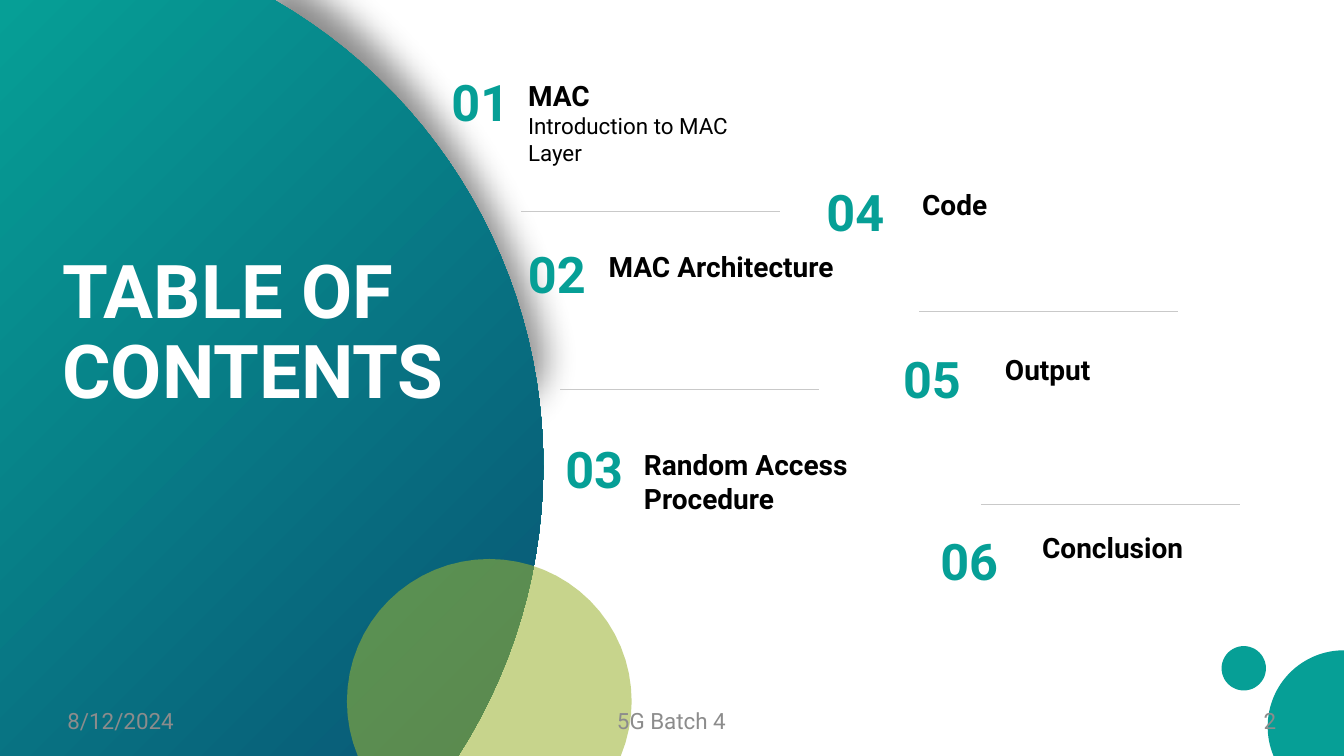
from math import cos, radians, sin

from lxml import etree
from pptx import Presentation
from pptx.dml.color import RGBColor
from pptx.enum.shapes import MSO_CONNECTOR, MSO_SHAPE
from pptx.enum.text import MSO_ANCHOR, MSO_AUTO_SIZE, PP_ALIGN
from pptx.oxml.ns import qn
from pptx.util import Pt

STRAIGHT = MSO_CONNECTOR.STRAIGHT
ELLIPSE = MSO_SHAPE.OVAL
LEFT, CENTER, RIGHT = PP_ALIGN.LEFT, PP_ALIGN.CENTER, PP_ALIGN.RIGHT
TOP, MIDDLE, BOTTOM = MSO_ANCHOR.TOP, MSO_ANCHOR.MIDDLE, MSO_ANCHOR.BOTTOM
NO_AUTOSIZE = MSO_AUTO_SIZE.NONE

FONT = "Roboto"
COLORS = {
    "teal": "069F96",
    "navy": "095474",
    "lime": "9CB332",
    "black": "000000",
    "white": "FFFFFF",
    "divider": "C9C9C9",
    "footer": "8C8C8C",
}
SLIDE_WIDTH, SLIDE_HEIGHT = 960, 540
ARC_STEPS = 40
DIVIDER_WIDTH = 185

ENTRIES = [
    ("01", (315.4, 47.5), (54.7, 5), ["MAC", "Introduction to MAC Layer"]),
    ("02", (370, 170), (57.6, 5), ["MAC Architecture"]),
    ("03", (396.7, 309.6), (56.2, 6.5), ["Random Access Procedure"]),
    ("04", (583.2, 126), (68.4, 4.3), ["Code"]),
    ("05", (638, 244.8), (72.7, 3.6), ["Output"]),
    ("06", (664.6, 375.1), (72.7, 0), ["Conclusion"]),
]
DIVIDERS = [(372.2, 151.2), (400.3, 278.3), (656.6, 222.5), (700.6, 360.2)]
FOOTERS = [
    ("8/12/2024", 48.2, 224, LEFT),
    ("5G Batch 4", 327.6, 304, CENTER),
    ("2", 687.6, 224, RIGHT),
]


def color(name):
    return RGBColor.from_string(COLORS[name])


def paint(shape, fill, opacity=100):
    shape.fill.solid()
    shape.fill.fore_color.rgb = color(fill)
    if opacity < 100:
        tint = shape.element.xpath(".//a:solidFill/a:srgbClr")[0]
        etree.SubElement(tint, qn("a:alpha"), val=str(opacity * 1000))
    finish(shape)


def finish(shape):
    shape.line.fill.background()
    shape.shadow.inherit = False


def format_paragraph(paragraph, size, color_name, bold=False, align=LEFT):
    paragraph.alignment = align
    for run in paragraph.runs:
        run.font.name = FONT
        run.font.size = Pt(size)
        run.font.bold = bold
        run.font.color.rgb = color(color_name)


def add_text(slide, box, text, anchor=TOP, side_margin=7.2):
    text_frame = slide.shapes.add_textbox(*map(Pt, box)).text_frame
    text_frame.word_wrap = True
    text_frame.vertical_anchor = anchor
    text_frame.margin_left = text_frame.margin_right = Pt(side_margin)
    text_frame.text = text
    return text_frame.paragraphs


def add_cropped_circle(slide, center, radius, start, end, corners=()):
    points = []
    for step in range(ARC_STEPS + 1):
        angle = radians(start + (end - start) * step / ARC_STEPS)
        points.append((center[0] + radius * cos(angle), center[1] + radius * sin(angle)))
    points.extend(corners)
    points = [(Pt(x), Pt(y)) for x, y in points]
    builder = slide.shapes.build_freeform(*points[0])
    builder.add_line_segments(points[1:])
    return builder.convert_to_shape()


def add_soft_shade(slide, box, rotation):
    shade = slide.shapes.add_shape(ELLIPSE, *map(Pt, box))
    shade.rotation = rotation
    paint(shade, "black", 46)
    effects = shade.element.xpath(".//a:effectLst")[0]
    etree.SubElement(effects, qn("a:softEdge"), rad=str(Pt(25)))


def add_backdrop(slide):
    add_soft_shade(slide, (200.9, -72, 168.5, 416.2), 328.3)
    corner_circle = add_cropped_circle(
        slide, (960, 519), 54.5, 157.33, 270, [(SLIDE_WIDTH, SLIDE_HEIGHT)])
    paint(corner_circle, "teal")
    panel = add_cropped_circle(
        slide, (4.2, 332.6), 383.9, -60.04, 32.7, [(0, SLIDE_HEIGHT), (0, 0)])
    panel.fill.gradient()
    panel.fill.gradient_angle = 315
    for stop, name, position in zip(panel.fill.gradient_stops, ("teal", "navy"), (0, 1)):
        stop.color.rgb = color(name)
        stop.position = position
    finish(panel)
    lime_circle = add_cropped_circle(slide, (349.5, 501), 101.7, 157.45, 382.55)
    paint(lime_circle, "lime", 56)


def add_title(slide, box):
    title = slide.shapes.title
    title.element.getparent().append(title.element)
    title.left, title.top, title.width, title.height = map(Pt, box)
    text_frame = title.text_frame
    text_frame.text = "TABLE OF CONTENTS"
    text_frame.word_wrap = True
    text_frame.auto_size = NO_AUTOSIZE
    text_frame.vertical_anchor = BOTTOM
    text_frame.margin_left = text_frame.margin_right = 0
    text_frame.margin_top = text_frame.margin_bottom = Pt(5)
    paragraph = text_frame.paragraphs[0]
    paragraph.line_spacing = 0.9
    format_paragraph(paragraph, 53, "white", bold=True)


def add_entry(slide, corner, label_offset, number, lines):
    left, top = corner
    number_paragraph = add_text(slide, (left, top, 72.7, 51), number)[0]
    format_paragraph(number_paragraph, 36, "teal", bold=True)
    label_box = (left + label_offset[0], top + label_offset[1], 192, 51)
    heading, *details = add_text(slide, label_box, "\n".join(lines))
    format_paragraph(heading, 20, "black", bold=True)
    for detail in details:
        format_paragraph(detail, 16, "black")


def add_divider(slide, left, top):
    ends = map(Pt, (left, top, left + DIVIDER_WIDTH, top))
    divider = slide.shapes.add_connector(STRAIGHT, *ends)
    divider.line.color.rgb = color("divider")
    divider.line.width = Pt(0.75)
    etree.SubElement(divider.element.spPr, qn("a:effectLst"))


def add_footer(slide, top, height):
    for text, left, width, align in FOOTERS:
        box = (left, top, width, height)
        paragraph = add_text(slide, box, text, MIDDLE, side_margin=0)[0]
        format_paragraph(paragraph, 16, "footer", align=align)


def add_contents_slide(presentation):
    slide = presentation.slides.add_slide(presentation.slide_layouts[5])
    add_backdrop(slide)
    add_title(slide, (44.6, 153.4, 352, 147.6))
    for number, corner, label_offset, lines in ENTRIES:
        add_entry(slide, corner, label_offset, number, lines)
    for left, top in DIVIDERS:
        add_divider(slide, left, top)
    dot = slide.shapes.add_shape(ELLIPSE, *map(Pt, (872.6, 461.5, 31.7, 31.7)))
    paint(dot, "teal")
    add_footer(slide, 500.4, 28.8)


def main():
    presentation = Presentation()
    presentation.slide_width = Pt(SLIDE_WIDTH)
    presentation.slide_height = Pt(SLIDE_HEIGHT)
    add_contents_slide(presentation)
    presentation.save("out.pptx")


if __name__ == "__main__":
    main()
